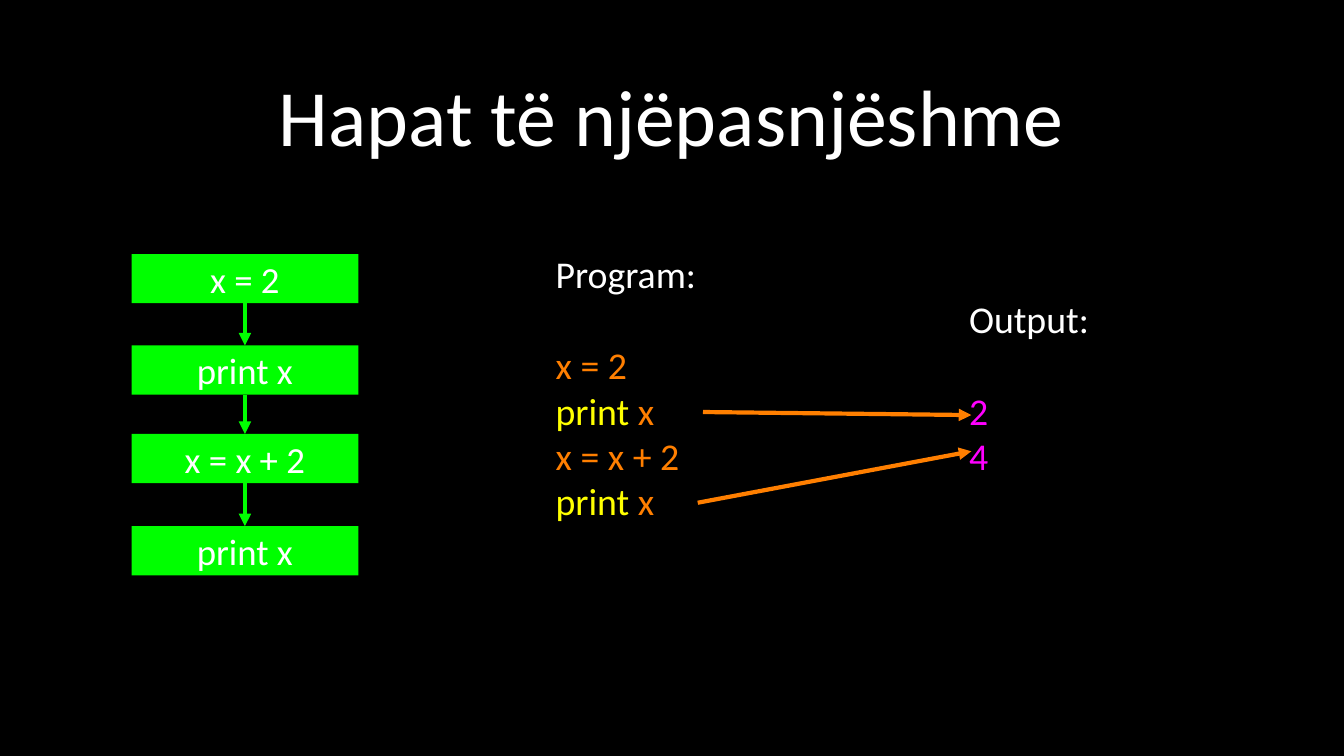
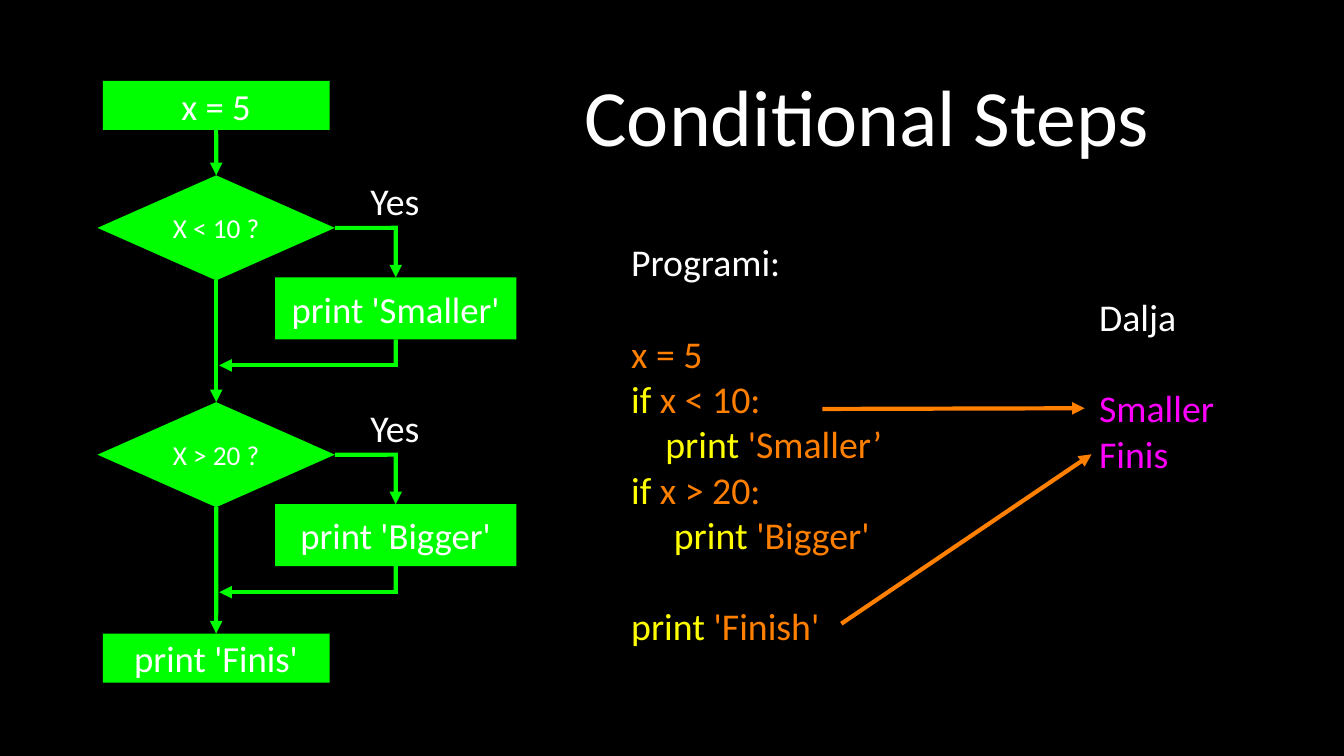
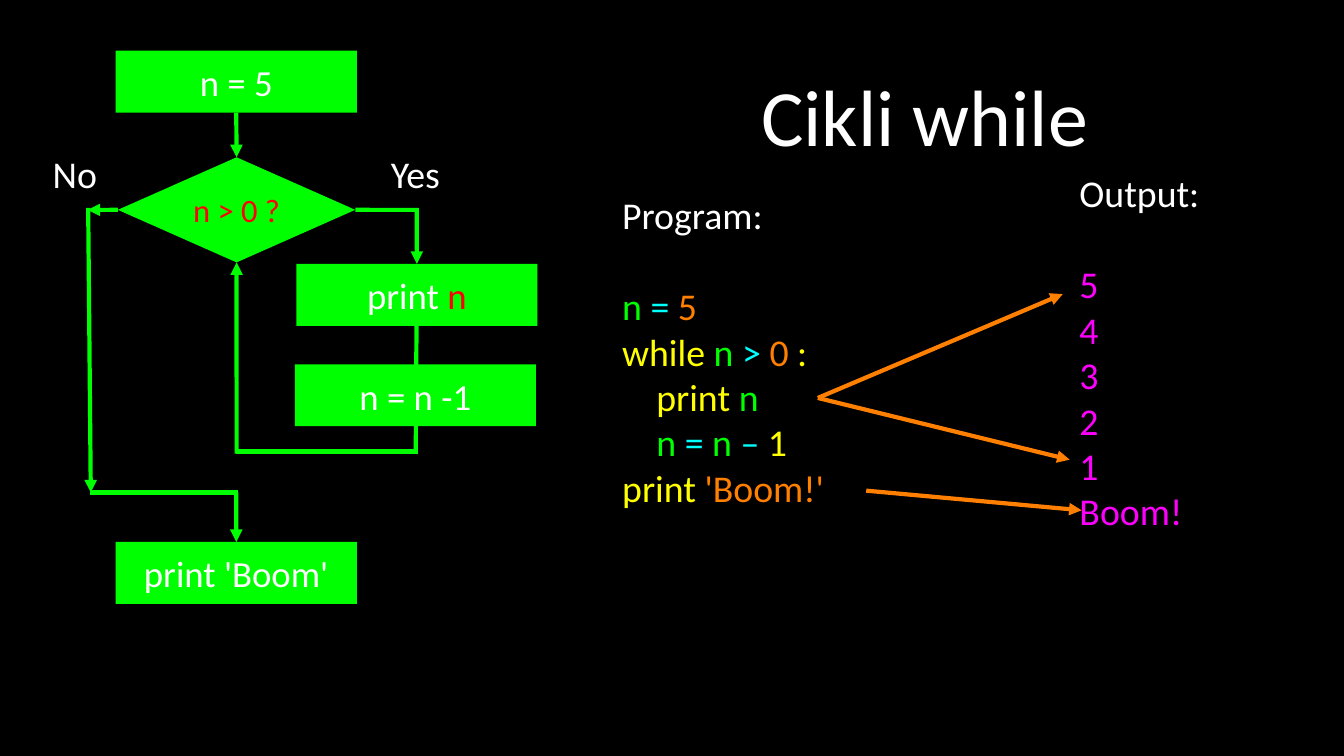
from dataclasses import dataclass
from typing import NamedTuple

from lxml import etree
from pptx import Presentation
from pptx.dml.color import RGBColor
from pptx.enum.shapes import MSO_CONNECTOR, MSO_SHAPE
from pptx.enum.text import MSO_ANCHOR, MSO_AUTO_SIZE, PP_ALIGN
from pptx.oxml.ns import qn
from pptx.presentation import Presentation as Deck
from pptx.shapes.autoshape import Shape
from pptx.slide import Slide
from pptx.text.text import TextFrame
from pptx.util import Pt

STRAIGHT = MSO_CONNECTOR.STRAIGHT
RECTANGLE, DIAMOND = MSO_SHAPE.RECTANGLE, MSO_SHAPE.DIAMOND
MIDDLE, FIXED = MSO_ANCHOR.MIDDLE, MSO_AUTO_SIZE.NONE
LEFT, CENTER = PP_ALIGN.LEFT, PP_ALIGN.CENTER
TOP_SIDE, LEFT_SIDE, BOTTOM_SIDE, RIGHT_SIDE = range(4)
TITLE_ONLY = 5


@dataclass(frozen=True)
class Theme:
    font: str = "Calibri"
    black: RGBColor = RGBColor(0, 0, 0)
    white: RGBColor = RGBColor(255, 255, 255)
    green: RGBColor = RGBColor(0, 255, 0)
    orange: RGBColor = RGBColor(255, 127, 0)
    yellow: RGBColor = RGBColor(255, 255, 0)
    magenta: RGBColor = RGBColor(255, 0, 255)
    cyan: RGBColor = RGBColor(0, 255, 255)
    red: RGBColor = RGBColor(255, 0, 0)
    title_size: float = 76
    text_size: float = 36
    node_size: float = 35
    test_size: float = 26
    loop_test_size: float = 31
    line_width: float = 4
    line_height: float = 43.2
    blank_line: float = 43.9


THEME = Theme()


class Span(NamedTuple):
    text: str
    color: RGBColor = THEME.white


@dataclass(frozen=True)
class Line:
    spans: list[Span]
    after_blank: bool = False


@dataclass(frozen=True)
class Size:
    width: float
    height: float


@dataclass(frozen=True)
class Node:
    spans: list[Span]
    left: float
    top: float
    size: Size
    preset: MSO_SHAPE = RECTANGLE
    text_size: float = THEME.node_size


class Spot(NamedTuple):
    x: float
    y: float


class Joint(NamedTuple):
    shape: Shape
    side: int


SMALL = Size(216, 46.8)
LARGE = Size(229.7, 59)
TEST = Size(226.1, 100.1)


def white(text: str) -> list[Span]:
    return [Span(text)]


def yellow(text: str) -> Span:
    return Span(text, THEME.yellow)


def orange(text: str) -> Span:
    return Span(text, THEME.orange)


def green(text: str) -> Span:
    return Span(text, THEME.green)


def cyan(text: str) -> Span:
    return Span(text, THEME.cyan)


def write_lines(frame: TextFrame, lines: list[Line], size: float,
                align: PP_ALIGN, margin: float = 0) -> None:
    frame.word_wrap = True
    frame.auto_size = FIXED
    frame.vertical_anchor = MIDDLE
    frame.margin_left = frame.margin_right = Pt(margin)
    frame.margin_top = frame.margin_bottom = Pt(margin)
    for index, line in enumerate(lines):
        para = frame.add_paragraph() if index else frame.paragraphs[0]
        para.alignment = align
        if line.after_blank:
            para.space_before = Pt(THEME.blank_line)
        para.font.name = THEME.font
        para.font.size = Pt(size)
        same_color = len({span.color for span in line.spans}) == 1
        if same_color:
            para.font.color.rgb = line.spans[0].color
        for span in line.spans:
            run = para.add_run()
            run.text = span.text
            if not same_color:
                run.font.color.rgb = span.color


def add_page(deck: Deck, title: str, left: float) -> Slide:
    page = deck.slides.add_slide(deck.slide_layouts[TITLE_ONLY])
    box = page.shapes.title
    box.left, box.top = Pt(left), Pt(18.7)
    box.width, box.height = Pt(1188 - left), Pt(180.7)
    write_lines(box.text_frame, [Line(white(title))], THEME.title_size, CENTER, 3)
    return page


def draw_text(page: Slide, lines: list[Line], left: float, top: float,
              width: float, align: PP_ALIGN = LEFT) -> None:
    rows = len(lines) + sum(line.after_blank for line in lines)
    box = page.shapes.add_textbox(
        Pt(left), Pt(top), Pt(width), Pt(rows * THEME.line_height))
    write_lines(box.text_frame, lines, THEME.text_size, align)


def draw_output(page: Slide, heading: str, results: list[str],
                left: float, top: float) -> None:
    lines = [Line([Span(result, THEME.magenta)], index == 0)
             for index, result in enumerate(results)]
    draw_text(page, [Line(white(heading)), *lines], left, top, 130.3)


def draw_label(page: Slide, text: str, left: float, top: float, width: float) -> None:
    draw_text(page, [Line(white(text))], left, top, width, CENTER)


def draw_node(page: Slide, node: Node) -> Shape:
    shape = page.shapes.add_shape(
        node.preset, Pt(node.left), Pt(node.top),
        Pt(node.size.width), Pt(node.size.height))
    shape.shadow.inherit = False
    shape.fill.solid()
    shape.fill.fore_color.rgb = THEME.green
    shape.line.fill.background()
    write_lines(shape.text_frame, [Line(node.spans)], node.text_size, CENTER)
    return shape


def draw_link(page: Slide, start: Spot | Joint, end: Spot | Joint,
              arrow: bool = True, color: RGBColor = THEME.green) -> None:
    begin = start if isinstance(start, Spot) else Spot(0, 0)
    finish = end if isinstance(end, Spot) else Spot(0, 0)
    link = page.shapes.add_connector(
        STRAIGHT, Pt(begin.x), Pt(begin.y), Pt(finish.x), Pt(finish.y))
    if isinstance(start, Joint):
        link.begin_connect(start.shape, start.side)
    if isinstance(end, Joint):
        link.end_connect(end.shape, end.side)
    link.line.color.rgb = color
    link.line.width = Pt(THEME.line_width)
    properties = link._element.spPr
    if arrow:
        outline = properties.find(qn("a:ln"))
        etree.SubElement(outline, qn("a:tailEnd"), type="triangle")
    etree.SubElement(properties, qn("a:effectLst"))


def draw_step(page: Slide, upper: Shape, lower: Shape) -> None:
    draw_link(page, Joint(upper, BOTTOM_SIDE), Joint(lower, TOP_SIDE))


def draw_pointers(page: Slide, pointers: list[tuple[Spot, Spot]]) -> None:
    for start, end in pointers:
        draw_link(page, start, end, color=THEME.orange)


def draw_yes_turn(page: Slide, test: Shape, target: Shape, corner: Spot) -> None:
    overlap = THEME.line_width / 2
    draw_link(page, Joint(test, RIGHT_SIDE),
              Spot(corner.x + overlap, corner.y), arrow=False)
    draw_link(page, corner, Joint(target, TOP_SIDE))


def build_sequence(deck: Deck) -> None:
    page = add_page(deck, "Hapat të njëpasnjëshme", 90.7)
    draw_text(page, [
        Line(white("Program:")),
        Line([orange("x = 2")], after_blank=True),
        Line([yellow("print"), orange(" x")]),
        Line([orange("x = x + 2")]),
        Line([yellow("print"), orange(" x")]),
    ], 529.2, 239, 159.1)
    draw_output(page, "Output:", ["2", "4"], 923, 282.2)
    steps = [("x = 2", 241.9), ("print x", 329), ("x = x + 2", 413.3), ("print x", 501.1)]
    boxes = [draw_node(page, Node(white(text), 125.3, top, SMALL)) for text, top in steps]
    for upper, lower in zip(boxes, boxes[1:]):
        draw_step(page, upper, lower)
    draw_pointers(page, [
        (Spot(669.6, 392.4), Spot(925.2, 395.3)),
        (Spot(664.6, 478.8), Spot(925.2, 429.8)),
    ])


def draw_branch(page: Slide, question: str, action: str, top: float) -> Shape:
    test = draw_node(page, Node(
        white(question), 92.9, top, TEST, DIAMOND, THEME.test_size))
    target = draw_node(page, Node(white(action), 262.1, top + 97.2, LARGE))
    draw_yes_turn(page, test, target, Spot(377, top + 50))
    return_y = top + 181
    draw_link(page, Joint(target, BOTTOM_SIDE), Spot(377, return_y), arrow=False)
    draw_link(page, Spot(379, return_y), Spot(208.8, return_y))
    draw_label(page, "Yes", 347, top + 2.4, 58.3)
    return test


def build_conditions(deck: Deck) -> None:
    page = add_page(deck, "Conditional Steps", 463)
    draw_output(page, "Dalja", ["Smaller", "Finis"], 1046.9, 280.1)
    draw_text(page, [
        Line(white("Programi:")),
        Line([orange("x = 5")], after_blank=True),
        Line([yellow("if"), orange(" x < 10:")]),
        Line([yellow("    print"), orange(" 'Smaller’")]),
        Line([yellow("if"), orange(" x > 20:")]),
        Line([yellow("     print"), orange(" 'Bigger'")]),
        Line([yellow("print"), orange(" 'Finish'")], after_blank=True),
    ], 601.2, 228.2, 270)
    flow = [
        draw_node(page, Node(white("x = 5"), 97.9, 77, SMALL)),
        draw_branch(page, "X < 10 ?", "print 'Smaller'", 167),
        draw_branch(page, "X > 20 ?", "print 'Bigger'", 383),
        draw_node(page, Node(white("print 'Finis'"), 97.9, 603.4, SMALL)),
    ]
    for upper, lower in zip(flow, flow[1:]):
        draw_step(page, upper, lower)
    draw_pointers(page, [
        (Spot(783.4, 389.5), Spot(1033.2, 388.8)),
        (Spot(801.4, 594), Spot(1039.7, 432.7)),
    ])


def build_loop(deck: Deck) -> None:
    page = add_page(deck, "Cikli while", 573.1)
    draw_output(page, "Output:", ["5", "4", "3", "2", "1", "Boom!"], 1028.2, 162)
    draw_text(page, [
        Line(white("Program:")),
        Line([green("n "), cyan("= "), orange("5")], after_blank=True),
        Line([yellow("while "), green("n "), cyan("> "), orange("0"), yellow(" :")]),
        Line([yellow("    print "), green("n")]),
        Line([green("    n "), cyan("= "), green("n "), cyan("–"), yellow(" 1")]),
        Line([yellow("print "), orange("'Boom!'")]),
    ], 592.6, 182.9, 217.4)
    draw_link(page, Spot(397, 265), Spot(396, 430), arrow=False)

    start = draw_node(page, Node(white("n = 5"), 110.2, 48.2, LARGE))
    test = draw_node(page, Node(
        [Span("n > 0 ?", THEME.red)], 112.3, 149.8, TEST, DIAMOND, THEME.loop_test_size))
    show = draw_node(page, Node(
        [Span("print "), Span("n", THEME.red)], 282.2, 251.3, LARGE))
    draw_node(page, Node(white("n = n -1"), 280.8, 347, LARGE))
    finish = draw_node(page, Node(white("print 'Boom'"), 110.2, 516.2, LARGE))

    draw_step(page, start, test)
    draw_yes_turn(page, test, show, Spot(397, 199.9))
    draw_link(page, Spot(398, 430), Spot(224.6, 430), arrow=False)
    draw_link(page, Spot(225.4, 432), Joint(test, BOTTOM_SIDE))
    draw_link(page, Joint(test, LEFT_SIDE), Spot(83.5, 199.9))
    draw_link(page, Spot(84, 198), Spot(86.5, 469))
    draw_link(page, Spot(85.7, 469), Spot(227, 469), arrow=False)
    draw_link(page, Spot(225, 469), Joint(finish, TOP_SIDE))
    draw_label(page, "No", 46.8, 144, 49)
    draw_label(page, "Yes", 366.5, 144, 58.3)
    draw_pointers(page, [
        (Spot(779, 379), Spot(1012.3, 280.1)),
        (Spot(779, 379), Spot(1018.8, 437.8)),
        (Spot(825.1, 467.3), Spot(1030.3, 486)),
    ])


def main() -> None:
    deck = Presentation()
    deck.slide_width, deck.slide_height = Pt(1280.16), Pt(720)
    backdrop = deck.slide_master.background.fill
    backdrop.solid()
    backdrop.fore_color.rgb = THEME.black
    build_sequence(deck)
    build_conditions(deck)
    build_loop(deck)
    deck.save("out.pptx")


if __name__ == "__main__":
    main()
